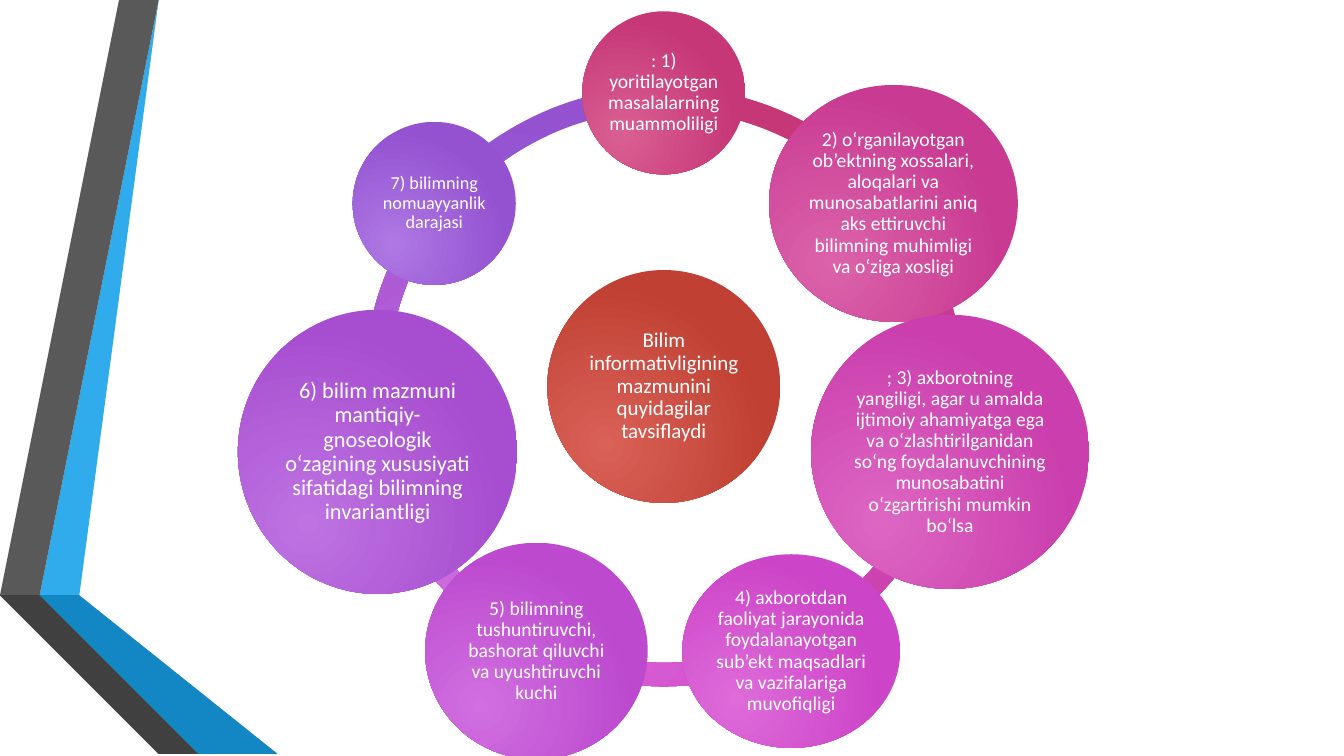
"""Build a slide with seven linked circles around a central one."""
from math import cos, pi, sin

from lxml import etree
from pptx import Presentation
from pptx.dml.color import RGBColor
from pptx.enum import shapes, text
from pptx.util import Cm, Pt

WIDE, HIGH = 33.87, 19.05
MID_X, MID_Y = 16.73, 9.74
ORBIT, RING, BAND = 7.4, 15.11, 0.039
TURN = 216
TOP = 162

RIBBONS = [
    ("30ACEC", [(1.27, 14.68), (1.96, 14.81), (4.39, 0), (3.68, 0)]),
    ("595959", [(3.53, 0), (2.82, 0), (0.41, 14.55), (1.12, 14.66)]),
    ("262626", [(0.41, 14.55), (3.68, HIGH), (3.84, HIGH)]),
    ("0C5A82", [(1.27, 14.71), (5.28, HIGH), (5.44, HIGH)]),
    ("1287C3", [(1.27, 14.71), (5.44, HIGH), (7.19, HIGH),
                (1.96, 14.81), (1.27, 14.68)]),
    ("404040", [(5.13, HIGH), (1.22, 14.81), (1.09, 14.68), (1.12, 14.66),
                (0.41, 14.55), (3.84, HIGH)]),
]

HUB = ("Bilim informativligining mazmunini quyidagilar tavsiflaydi",
       5.87, 5.87, 15, ("D96157", "C04033"))

NODES = [
    (": 1) yoritilayotgan masalalarning muammoliligi",
     4.11, 4.11, 14, ("D95F92", "C63777")),
    ("2) o‘rganilayotgan ob’ektning xossalari, aloqalari va munosabatlarini "
     "aniq aks ettiruvchi bilimning muhimligi va o‘ziga xosligi",
     6.27, 5.97, 14, ("DB63AA", "C93B93")),
    ("; 3) axborotning yangiligi, agar u amalda ijtimoiy ahamiyatga ega va "
     "o‘zlashtirilganidan so‘ng foydalanuvchining munosabatini "
     "o‘zgartirishi mumkin bo‘lsa",
     7.01, 6.91, 14, ("DD66C3", "CA3FAD")),
    ("4) axborotdan faoliyat jarayonida foydalanayotgan sub’ekt maqsadlari "
     "va vazifalariga muvofiqligi",
     5.49, 4.88, 14, ("DE6BDA", "CC44C7")),
    ("5) bilimning tushuntiruvchi, bashorat qiluvchi va uyushtiruvchi kuchi",
     5.61, 5.46, 14, ("D06FE0", "BC49CE")),
    ("6) bilim mazmuni mantiqiy-gnoseologik o‘zagining xususiyati sifatidagi "
     "bilimning invariantligi",
     7.04, 7.16, 16, ("BE73E2", "A74DCF")),
    ("7) bilimning nomuayyanlik darajasi",
     4.11, 4.11, 13, ("AE78E3", "9452D1")),
]


def tint(color, code):
    color.rgb = RGBColor.from_string(code)


def glow(shape, pair):
    shape.shadow.inherit = False
    shape.line.fill.background()
    shape.fill.gradient()
    for stop, code in zip(shape.fill.gradient_stops, pair):
        tint(stop.color, code)
    ns = "{http://schemas.openxmlformats.org/drawingml/2006/main}"
    lin = shape.element.spPr.find(f".//{ns}lin")
    way = etree.Element(ns + "path", path="circle")
    etree.SubElement(way, ns + "fillToRect",
                     l="50000", t="100000", r="100000", b="50000")
    lin.getparent().replace(lin, way)


def add_ribbon(slide, code, points):
    start, *rest = points
    pen = slide.shapes.build_freeform(*start, scale=Cm(1))
    pen.add_line_segments(rest, close=True)
    shape = pen.convert_to_shape()
    shape.shadow.inherit = False
    shape.line.fill.background()
    shape.fill.solid()
    tint(shape.fill.fore_color, code)


def add_round(slide, kind, x, y, wide, high, pair):
    shape = slide.shapes.add_shape(
        kind, Cm(x - wide / 2), Cm(y - high / 2), Cm(wide), Cm(high))
    glow(shape, pair)
    return shape


def add_circle(slide, x, y, words, wide, high, size, pair):
    shape = add_round(slide, shapes.MSO_SHAPE.OVAL, x, y, wide, high, pair)
    frame = shape.text_frame
    frame.word_wrap = True
    frame.vertical_anchor = text.MSO_ANCHOR.MIDDLE
    frame.margin_left = frame.margin_right = Cm(0.05)
    frame.margin_top = frame.margin_bottom = Cm(0.05)
    para = frame.paragraphs[0]
    para.alignment = text.PP_ALIGN.CENTER
    para.line_spacing = 0.9
    run = para.add_run()
    run.text = words
    run.font.name = "Calibri"
    run.font.size = Pt(size)
    tint(run.font.color, "FFFFFF")


def main():
    deck = Presentation()
    deck.slide_width, deck.slide_height = Cm(WIDE), Cm(HIGH)
    slide = deck.slides.add_slide(deck.slide_layouts[6])

    for code, points in RIBBONS:
        add_ribbon(slide, code, points)

    step = TURN / len(NODES)
    for i, node in reversed(list(enumerate(NODES))):
        arc = add_round(slide, shapes.MSO_SHAPE.BLOCK_ARC,
                        MID_X, MID_Y, RING, RING, node[-1])
        arc.adjustments[0] = (TOP + i * step) % TURN
        arc.adjustments[1] = (TOP + (i + 1) * step) % TURN
        arc.adjustments[2] = BAND

    add_circle(slide, MID_X, MID_Y, *HUB)
    for i, node in enumerate(NODES):
        angle = 2 * pi * i / len(NODES)
        add_circle(slide, MID_X + ORBIT * sin(angle),
                   MID_Y - ORBIT * cos(angle), *node)

    deck.save("out.pptx")


if __name__ == "__main__":
    main()
